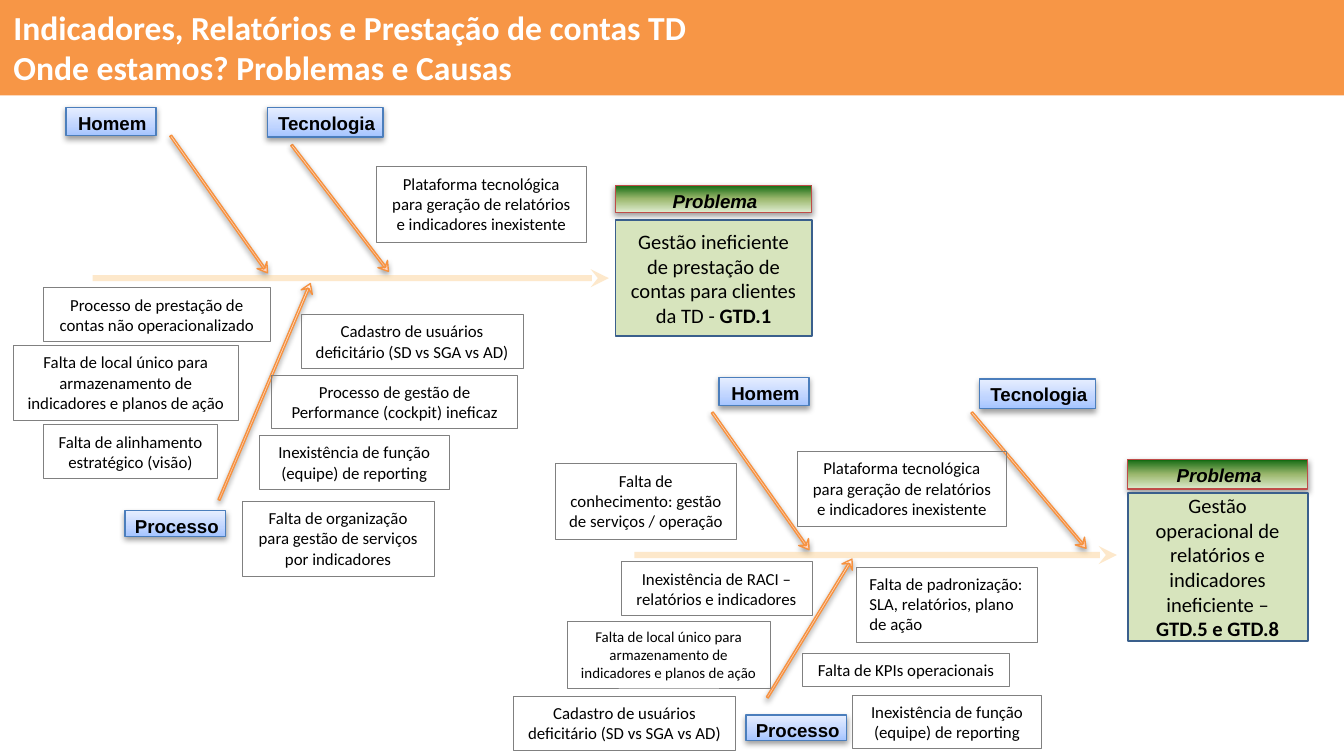
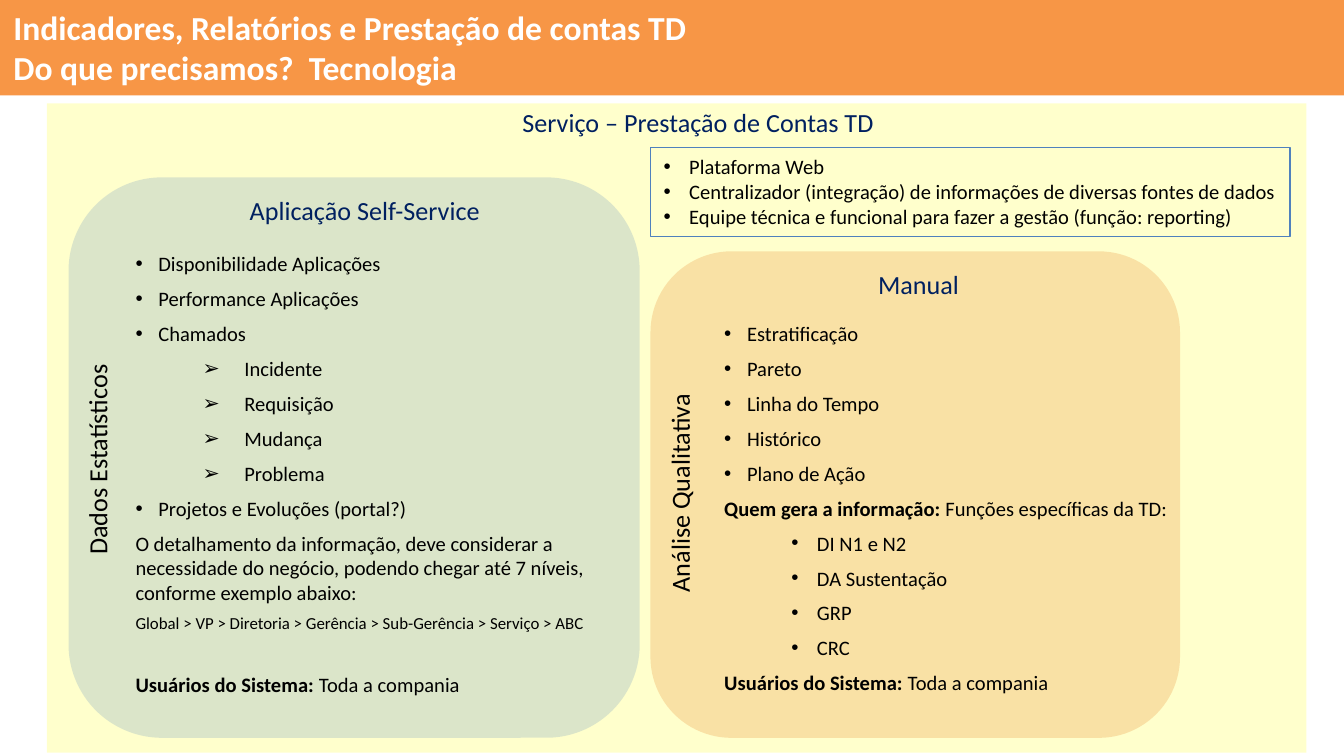
from math import hypot

from lxml import etree
from pptx import Presentation
from pptx.dml.color import RGBColor
from pptx.enum.shapes import MSO_CONNECTOR, MSO_SHAPE
from pptx.enum.text import MSO_ANCHOR, MSO_AUTO_SIZE, PP_ALIGN
from pptx.oxml.ns import qn
from pptx.util import Pt

RECTANGLE, ROUNDED = MSO_SHAPE.RECTANGLE, MSO_SHAPE.ROUNDED_RECTANGLE
LEFT, CENTER = PP_ALIGN.LEFT, PP_ALIGN.CENTER
TOP, MIDDLE = MSO_ANCHOR.TOP, MSO_ANCHOR.MIDDLE
PX = 9144  # 100 px to the inch
SLIDE_WIDTH = 1000 * PX
SLIDE_HEIGHT = SLIDE_WIDTH * 9 // 16


class Theme:
    body_font, label_font = "Calibri", "Arial"
    title_size, heading_size, body_size, label_size, cause_size, small_size = 18, 14, 11, 10, 9, 8
    band, white, black, navy = "F79646", "FFFFFF", "000000", "002060"
    cause_line, problem_fill, problem_line = "808080", "D7E4BD", "3A5F8C"
    category_line, header_line, bone_line, spine = "4B7EBC", "BF4C48", "F69240", "FAC77D"
    service, manual, self_service = "FFFF00", "E46C0A", "4F81BD"
    category_stops = [(0, "A4C4FF"), (35, "BFD4FF"), (100, "E6EEFF")]
    header_stops = [(0, "DDEBCF"), (50, "9CB86E"), (100, "156B13")]
    bone_stops = [(0, "FFD2BD"), (35, "FFDED0"), (100, "FFF2ED")]
    panel_alpha, spine_alpha = 20, 40
    # left margin, first-line indent (px) and bullet of each kind of paragraph
    paragraph_kinds = {
        "plain": (0, 0, None),
        "item": (17, -17, "•"),
        "arrow": (81, -31, "➢"),
        "role": (69, -19, "•"),
        "feature": (19, -19, "•"),
    }


def add_panel(slide, box, kind=RECTANGLE, fill=None, alpha=None, line=None, width=0.75):
    shape = slide.shapes.add_shape(kind, *[PX * value for value in box])
    shape.shadow.inherit = False
    if fill:
        shape.fill.solid()
        shape.fill.fore_color.rgb = RGBColor.from_string(fill)
    else:
        shape.fill.background()
    if alpha:
        color = shape.fill._xPr.find(f"{qn('a:solidFill')}/{qn('a:srgbClr')}")
        etree.SubElement(color, qn("a:alpha"), val=str(alpha * 1000))
    if line:
        shape.line.color.rgb = RGBColor.from_string(line)
        shape.line.width = Pt(width)
    else:
        shape.line.fill.background()
    return shape


def write(shape, lines, size, color=Theme.black, font=Theme.body_font, bold=False, italic=False,
          align=CENTER, anchor=TOP, margins=(10, 5, 10, 5), wrap=True, space=0):
    """Fill a shape with (kind, text) lines; **marks** enclose bold words."""
    frame = shape.text_frame
    frame.word_wrap = wrap
    frame.auto_size = MSO_AUTO_SIZE.NONE
    frame.vertical_anchor = anchor
    frame.margin_left, frame.margin_top, frame.margin_right, frame.margin_bottom = [
        PX * margin for margin in margins]
    for index, (kind, text) in enumerate(lines):
        paragraph = frame.add_paragraph() if index else frame.paragraphs[0]
        margin, indent, bullet = Theme.paragraph_kinds[kind]
        if bullet:
            properties = paragraph._p.get_or_add_pPr()
            properties.set("marL", str(PX * margin))
            properties.set("indent", str(PX * indent))
            etree.SubElement(properties, qn("a:buFont"), typeface=Theme.label_font)
            etree.SubElement(properties, qn("a:buChar"), char=bullet)
        paragraph.alignment = align
        if index and space:
            paragraph.space_before = Pt(space)
        paragraph.font.name = font
        paragraph.font.size = Pt(size)
        paragraph.font.bold = bold
        paragraph.font.italic = italic
        paragraph.font.color.rgb = RGBColor.from_string(color)
        for position, part in enumerate(text.split("**")):
            if part:
                run = paragraph.add_run()
                run.text = part
                if position % 2:
                    run.font.bold = True


presentation = Presentation()
presentation.slide_width, presentation.slide_height = SLIDE_WIDTH, SLIDE_HEIGHT

# Slides with the shared title band
slides = []
for subtitle in ("Onde estamos? Problemas e Causas", "Do que precisamos?  Tecnologia"):
    slide = presentation.slides.add_slide(presentation.slide_layouts[5])
    title = slide.shapes.title
    title.left, title.top, title.width, title.height = 0, 0, SLIDE_WIDTH, 71 * PX
    title.fill.solid()
    title.fill.fore_color.rgb = RGBColor.from_string(Theme.band)
    write(title, [("plain", "Indicadores, Relatórios e Prestação de contas TD"), ("plain", subtitle)],
          Theme.title_size, Theme.white, bold=True, align=LEFT)
    slides.append(slide)
causes_slide, technology_slide = slides

# Slide 1: two cause-and-effect diagrams
platform = "Plataforma tecnológica para geração de relatórios e indicadores inexistente"
single_place = "Falta de local único para armazenamento de indicadores e planos de ação"
user_records = "Cadastro de usuários deficitário (SD vs SGA vs AD)"
reporting = "Inexistência de função (equipe) de reporting"
diagrams = [
    {
        "header": (458, 138, 146, 20),
        "problem": (458, 164, 146, 86),
        "text": "Gestão ineficiente de prestação de contas para clientes da TD - **GTD.1**",
        "spine": (69, 207, 453, 207),
        "bones": [(127, 101, 199, 203), (163, 372, 231, 211), (217, 108, 289, 202)],
        "categories": [((49, 80, 67, 21), "Homem"), ((199, 80, 86, 22), "Tecnologia"),
                       ((93, 380, 75, 19), "Processo")],
        "causes": [
            ((32, 214, 169, 40), "Processo de prestação de contas não operacionalizado"),
            ((202, 279, 183, 40), "Processo de gestão de Performance (cockpit) ineficaz"),
            ((180, 373, 143, 56), "Falta de organização para gestão de serviços por indicadores"),
            ((10, 257, 167, 56), single_place),
            ((32, 316, 130, 40), "Falta de alinhamento estratégico (visão)"),
            ((224, 234, 165, 40), user_records),
            ((280, 124, 156, 56), platform),
            ((193, 324, 141, 40), reporting),
        ],
    },
    {
        "header": (839, 342, 134, 22),
        "problem": (839, 367, 134, 110),
        "text": "Gestão operacional de relatórios e indicadores ineficiente – **GTD.5 e GTD.8**",
        "spine": (472, 413, 831, 413),
        "bones": [(530, 307, 602, 409), (571, 519, 634, 416), (723, 307, 808, 408)],
        "categories": [((535, 281, 67, 21), "Homem"), ((729, 282, 86, 22), "Tecnologia"),
                       ((555, 532, 75, 19), "Processo")],
        "causes": [
            ((462, 418, 142, 40), "Inexistência de RACI – relatórios e indicadores"),
            ((413, 345, 135, 56), "Falta de conhecimento: gestão de serviços / operação"),
            ((637, 422, 135, 56), "Falta de padronização: SLA, relatórios, plano de ação", LEFT),
            ((422, 462, 151, 50), single_place, CENTER, Theme.small_size),
            ((382, 518, 165, 40), user_records),
            ((597, 486, 154, 25), "Falta de KPIs operacionais"),
            ((634, 517, 141, 40), reporting),
            ((593, 336, 156, 56), platform),
        ],
    },
]
label_style = {"size": Theme.label_size, "font": Theme.label_font, "bold": True, "margins": (2, 3, 0, 0)}
glossy_shapes = []
for diagram in diagrams:
    # Problem header and statement
    header = add_panel(causes_slide, diagram["header"], line=Theme.header_line)
    write(header, [("plain", "Problema")], italic=True, **label_style)
    glossy_shapes.append((header, Theme.header_stops))
    problem = add_panel(causes_slide, diagram["problem"], fill=Theme.problem_fill,
                        line=Theme.problem_line, width=1)
    write(problem, [("plain", diagram["text"])], Theme.body_size, anchor=MIDDLE)

    # Bones: a thin shaft and a notched head, placed along and across the direction
    for start_x, start_y, tip_x, tip_y in diagram["bones"]:
        length = hypot(tip_x - start_x, tip_y - start_y)
        along_x, along_y = (tip_x - start_x) / length, (tip_y - start_y) / length
        outlines = [
            [(0, -0.8), (length - 4, -0.8), (length - 4, 0.8), (0, 0.8)],
            [(length, 0), (length - 7, 4.5), (length - 4, 0), (length - 7, -4.5)],
        ]
        shaft, head = [[(PX * (start_x + along_x * along - along_y * across),
                         PX * (start_y + along_y * along + along_x * across))
                        for along, across in outline] for outline in outlines]
        builder = causes_slide.shapes.build_freeform(*shaft[0])
        builder.add_line_segments(shaft[1:], close=True)
        builder.move_to(*head[0])
        builder.add_line_segments(head[1:], close=True)
        bone = builder.convert_to_shape()
        bone.line.color.rgb = RGBColor.from_string(Theme.bone_line)
        bone.line.width = Pt(0.75)
        glossy_shapes.append((bone, Theme.bone_stops))

    # Spine
    spine = causes_slide.shapes.add_connector(
        MSO_CONNECTOR.STRAIGHT, *[PX * value for value in diagram["spine"]])
    spine.line.color.rgb = RGBColor.from_string(Theme.spine)
    spine.line.width = Pt(3.25)
    spine_line = spine.line._get_or_add_ln()
    spine_color = spine_line.find(f"{qn('a:solidFill')}/{qn('a:srgbClr')}")
    etree.SubElement(spine_color, qn("a:alpha"), val=str(Theme.spine_alpha * 1000))
    etree.SubElement(spine_line, qn("a:tailEnd"), type="stealth")
    etree.SubElement(spine._element.spPr, qn("a:effectLst"))

    # Categories
    for box, name in diagram["categories"]:
        category = add_panel(causes_slide, box, line=Theme.category_line)
        write(category, [("plain", name)], **label_style)
        glossy_shapes.append((category, Theme.category_stops))

    # Causes
    for box, text, *options in diagram["causes"]:
        align, size = options + [CENTER, Theme.cause_size][len(options):]
        cause = add_panel(causes_slide, box, line=Theme.cause_line, width=0.25)
        write(cause, [("plain", text)], size, align=align)

# Gradient and soft shadow of headers, bones and categories
for shape, stops in glossy_shapes:
    shape.fill.gradient()
    shape.fill.gradient_angle = 90
    shape.shadow.inherit = False
    properties = shape._element.spPr
    stop_list = properties.find(f"{qn('a:gradFill')}/{qn('a:gsLst')}")
    for stop in list(stop_list):
        stop_list.remove(stop)
    for position, color in stops:
        stop = etree.SubElement(stop_list, qn("a:gs"), pos=str(position * 1000))
        etree.SubElement(stop, qn("a:srgbClr"), val=color)
    shadow = etree.SubElement(properties.find(qn("a:effectLst")), qn("a:outerShdw"),
                              blurRad="40000", dist="20000", dir="5400000", rotWithShape="0")
    shadow_color = etree.SubElement(shadow, qn("a:srgbClr"), val=Theme.black)
    etree.SubElement(shadow_color, qn("a:alpha"), val="38000")

# Slide 2: translucent panels
for box, kind, color in [
    ((35, 77, 937, 483), RECTANGLE, Theme.service),
    ((484, 187, 394, 362), ROUNDED, Theme.manual),
    ((51, 132, 425, 417), ROUNDED, Theme.self_service),
]:
    add_panel(technology_slide, box, kind, fill=color, alpha=Theme.panel_alpha)

# Panel lists
self_service_lines = [
    ("item", "Disponibilidade Aplicações"),
    ("item", "Performance Aplicações"),
    ("item", "Chamados"),
    ("arrow", "Incidente"),
    ("arrow", "Requisição"),
    ("arrow", "Mudança"),
    ("arrow", "Problema"),
    ("item", "Projetos e Evoluções (portal?)"),
    ("plain", "O detalhamento da informação, deve considerar a necessidade do negócio, "
              "podendo chegar até 7 níveis, conforme exemplo abaixo:"),
    ("plain", "Global > VP > Diretoria > Gerência > Sub-Gerência > Serviço > ABC"),
    ("plain", "**Usuários do Sistema:** Toda a compania"),
]
manual_lines = [
    ("item", "Estratificação"),
    ("item", "Pareto"),
    ("item", "Linha do Tempo"),
    ("item", "Histórico"),
    ("item", "Plano de Ação"),
    ("plain", "**Quem gera a informação: **Funções específicas da TD:"),
    ("role", "DI N1 e N2"),
    ("role", "DA Sustentação"),
    ("role", "GRP"),
    ("role", "CRC"),
    ("plain", "**Usuários do Sistema:** Toda a compania"),
]
for box, lines, wrap in [((91, 182, 409, 358), self_service_lines, True),
                         ((529, 234, 352, 306), manual_lines, False)]:
    panel_list = technology_slide.shapes.add_textbox(*[PX * value for value in box])
    write(panel_list, lines, Theme.body_size, align=LEFT, wrap=wrap, space=5.5)
    if lines is self_service_lines:
        hierarchy, users = panel_list.text_frame.paragraphs[-2:]
        hierarchy.font.size = Pt(Theme.cause_size)
        hierarchy.space_before = Pt(4.4)
        users.space_before = Pt(20.7)

# Headings, upright and turned
for box, text, color, rotation in [
    ((-95, 325, 335, 34), "Dados Estatísticos", Theme.black, 270),
    ((358, 350, 296, 34), "Análise Qualitativa", Theme.black, 270),
    ((106, 140, 331, 34), "Aplicação Self-Service", Theme.navy, 0),
    ((520, 195, 327, 34), "Manual", Theme.navy, 0),
    ((51, 74, 937, 34), "Serviço – Prestação de Contas TD", Theme.navy, 0),
]:
    heading = technology_slide.shapes.add_textbox(*[PX * value for value in box])
    heading.rotation = rotation
    write(heading, [("plain", text)], Theme.heading_size, color)

# Service features
features = add_panel(technology_slide, (484, 110, 476, 66), line=Theme.self_service)
write(features, [
    ("feature", "Plataforma Web"),
    ("feature", "Centralizador (integração) de informações de diversas fontes de dados"),
    ("feature", "Equipe técnica e funcional para fazer a gestão (função: reporting)"),
], Theme.body_size, align=LEFT)

presentation.save("out.pptx")
